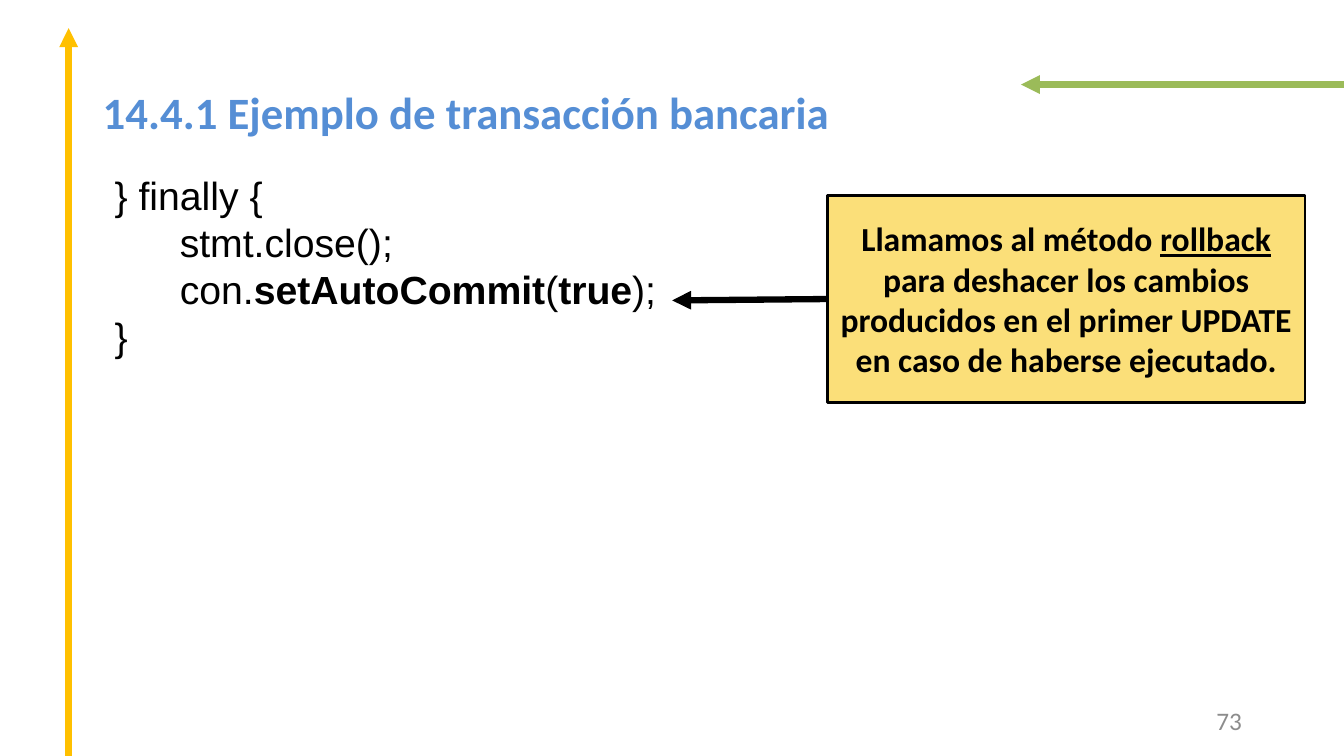
import dataclasses
import pptx
import pptx.util
import pptx.dml.color
import pptx.enum.shapes
import pptx.enum.text
import pptx.oxml
import pptx.oxml.ns

Cm, Pt = pptx.util.Cm, pptx.util.Pt
RGB = pptx.dml.color.RGBColor.from_string
Align = pptx.enum.text.PP_ALIGN
Anchor = pptx.enum.text.MSO_ANCHOR


@dataclasses.dataclass(frozen=True)
class Theme:
    green: str = "9BBB59"
    gold: str = "FFC000"
    blue: str = "558ED5"
    grey: str = "8C8C8C"
    cream: str = "FBDF79"
    black: str = "000000"
    sans: str = "Calibri"
    code: str = "Arial"
    head: int = 32
    body: int = 28
    note: int = 24
    foot: int = 18
    pitch: float = 33.6
    stroke: float = 4.5
    edge: int = 2


THEME = Theme()
WIDE, HIGH = 33.87, 19.05


def write(para, text, font, size, color, bold=False, under=False):
    run = para.add_run()
    run.text = text
    run.font.name = font
    run.font.size = Pt(size)
    run.font.color.rgb = RGB(color)
    run.font.bold = bold
    run.font.underline = under


def frame(slide, box, anchor=Anchor.MIDDLE):
    """Add a wrapping text box and return its text frame."""
    text = slide.shapes.add_textbox(*map(Cm, box)).text_frame
    text.word_wrap = True
    text.vertical_anchor = anchor
    return text


def arrow(slide, start, end, color):
    kind = pptx.enum.shapes.MSO_CONNECTOR.STRAIGHT
    line = slide.shapes.add_connector(kind, *map(Cm, start + end))
    line.line.width = Pt(THEME.stroke)
    line.line.color.rgb = RGB(color)
    tip = pptx.oxml.parse_xml(
        f'<a:tailEnd {pptx.oxml.ns.nsdecls("a")} type="triangle"/>')
    line.line._get_or_add_ln().append(tip)
    flat = pptx.oxml.parse_xml(f'<a:effectLst {pptx.oxml.ns.nsdecls("a")}/>')
    line._element.spPr.append(flat)
    return line


def trim(slide, box):
    """Draw the two arrows that enter from the edges of the slide."""
    left, top, width, height = box
    arrow(slide, (left + width, top + 2.13), (left + 25.73, top + 2.13),
          THEME.green)
    arrow(slide, (left + 1.73, top + height), (left + 1.73, top + 0.71),
          THEME.gold)


def title(slide, box, text):
    para = frame(slide, box).paragraphs[0]
    write(para, text, THEME.sans, THEME.head, THEME.blue, bold=True)


def number(slide, box, text):
    para = frame(slide, box).paragraphs[0]
    para.alignment = Align.RIGHT
    write(para, text, THEME.sans, THEME.foot, THEME.grey)


def code(slide, box, lines):
    """Set code lines, each a list of parts that alternate plain and bold."""
    text = frame(slide, box, Anchor.TOP)
    for row, parts in enumerate(lines):
        para = text.add_paragraph() if row else text.paragraphs[0]
        para.line_spacing = Pt(THEME.pitch)
        for spot, part in enumerate(parts):
            write(para, part, THEME.code, THEME.body, THEME.black,
                  bold=spot % 2 == 1)


def note(slide, box, parts, target):
    """Draw a callout, its odd parts underlined, with an arrow to target."""
    left, top, width, height = box
    rect = slide.shapes.add_shape(
        pptx.enum.shapes.MSO_SHAPE.RECTANGLE, *map(Cm, box))
    rect.shadow.inherit = False
    rect.fill.solid()
    rect.fill.fore_color.rgb = RGB(THEME.cream)
    rect.line.color.rgb = RGB(THEME.black)
    rect.line.width = Pt(THEME.edge)
    text = rect.text_frame
    text.word_wrap = True
    text.vertical_anchor = Anchor.MIDDLE
    para = text.paragraphs[0]
    para.alignment = Align.CENTER
    for spot, part in enumerate(parts):
        write(para, part, THEME.sans, THEME.note, THEME.black, bold=True,
              under=spot % 2 == 1)
    line = arrow(slide, (left, top + height / 2), target, THEME.black)
    line.begin_connect(rect, 1)


def main():
    deck = pptx.Presentation()
    deck.slide_width, deck.slide_height = Cm(WIDE), Cm(HIGH)
    slide = deck.slides.add_slide(deck.slide_layouts[6])
    trim(slide, (0, 0, WIDE, HIGH))
    title(slide, (2.34, 1.12, 30.61, 3.38),
          "14.4.1 Ejemplo de transacción bancaria")
    number(slide, (23.93, 17.65, 7.62, 1.02), "73")
    code(slide, (2.64, 4.19, 31.23, 7.44), [
        ["} finally {"],
        ["      stmt.close();"],
        ["      con.", "setAutoCommit", "(", "true", ");"],
        ["}"],
    ])
    note(slide, (20.85, 4.93, 12.04, 5.21), [
        "Llamamos al método ",
        "rollback",
        " para deshacer los cambios producidos en el primer UPDATE "
        "en caso de haberse ejecutado.",
    ], (16.94, 7.57))
    deck.save("out.pptx")


if __name__ == "__main__":
    main()
